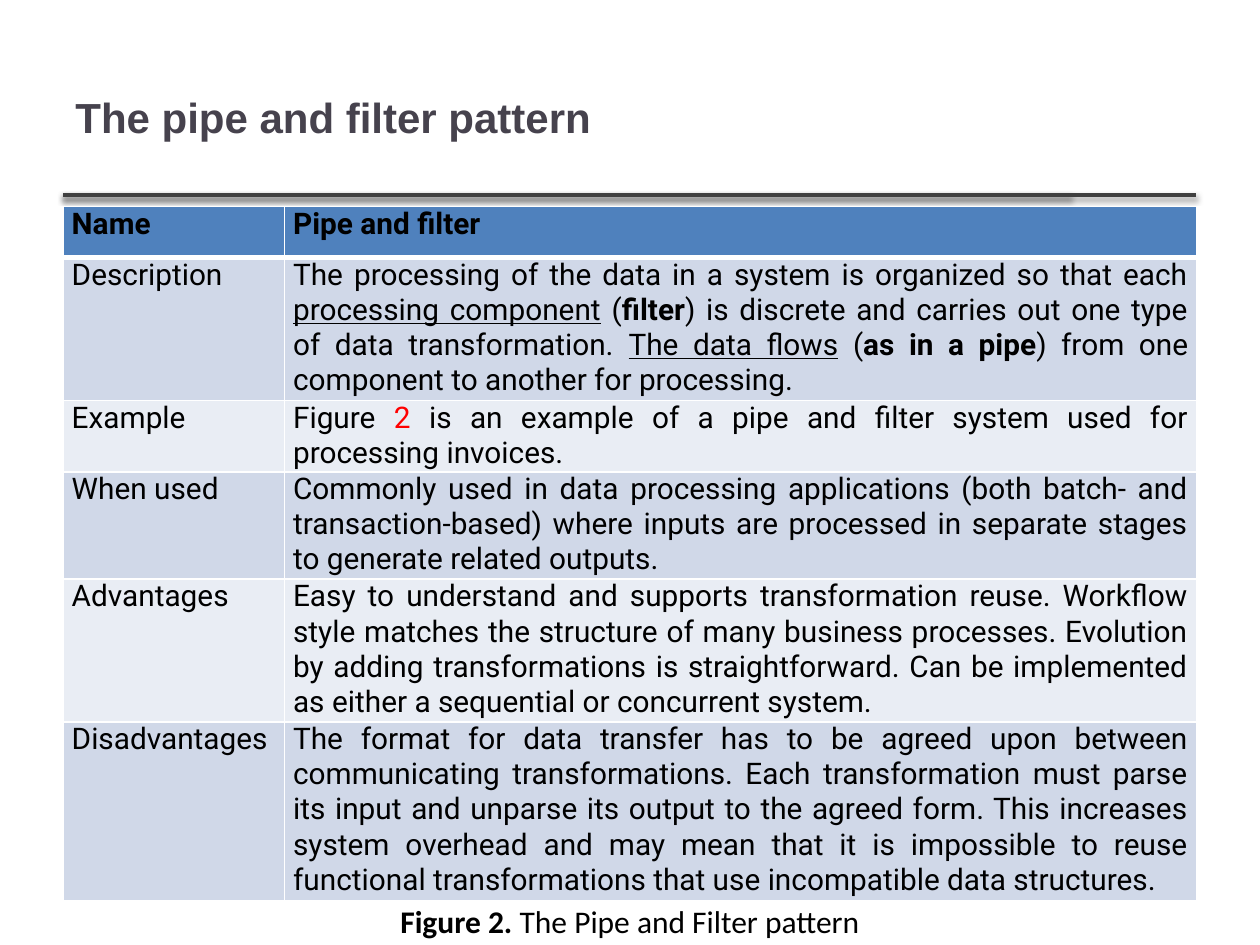
from lxml.etree import SubElement
from pptx import Presentation
from pptx.dml.color import RGBColor
from pptx.enum.shapes import MSO_CONNECTOR
from pptx.enum.text import MSO_ANCHOR, PP_ALIGN
from pptx.oxml.ns import qn
from pptx.util import Pt

LEFT, WIDTH = 36, 648
HEADER_FILL = "4F81BD"
BAND_FILLS = ["D0D8E8", "E9EDF4"]
ROWS = [
    ("Name", ["Pipe and filter"]),
    ("Description", [
        "The processing of the data in a system is organized so that each ",
        ("processing component", {"underline": True}),
        " (",
        ("filter", {"bold": True}),
        ") is discrete and carries out one type of data transformation. ",
        ("The data flows", {"underline": True}),
        " (",
        ("as in a pipe", {"bold": True}),
        ") from one component to another for processing. ",
    ]),
    ("Example", [
        "Figure ",
        ("2", {"color": "FF0000"}),
        " is an example of a pipe and filter system used for processing invoices.",
    ]),
    ("When used", [
        "Commonly used in data processing applications (both batch- and "
        "transaction-based) where inputs are processed in separate stages "
        "to generate related outputs."
    ]),
    ("Advantages", [
        "Easy to understand and supports transformation reuse. Workflow style "
        "matches the structure of many business processes. Evolution by adding "
        "transformations is straightforward. Can be implemented as either a "
        "sequential or concurrent system."
    ]),
    ("Disadvantages", [
        "The format for data transfer has to be agreed upon between "
        "communicating transformations. Each transformation must parse its "
        "input and unparse its output to the agreed form. This increases system "
        "overhead and may mean that it is impossible to reuse functional "
        "transformations that use incompatible data structures."
    ]),
]


def rgb(color):
    return RGBColor.from_string(color)


def add_run(p, text, font="Roboto", size=17, color="000000", bold=False, underline=False):
    r = p.add_run()
    r.text = text
    r.font.name = font
    r.font.size = Pt(size)
    r.font.color.rgb = rgb(color)
    r.font.bold = bold
    r.font.underline = underline


def add_text(s, top, width, height, runs, align=PP_ALIGN.LEFT, anchor=MSO_ANCHOR.TOP):
    sp = s.shapes.add_textbox(Pt(LEFT), Pt(top), Pt(width), Pt(height))
    tf = sp.text_frame
    tf.word_wrap = True
    tf.vertical_anchor = anchor
    p = tf.paragraphs[0]
    p.alignment = align
    for text, style in runs:
        add_run(p, text, **style)


def add_rule(s, right, y):
    sp = s.shapes.add_connector(MSO_CONNECTOR.STRAIGHT, Pt(LEFT), Pt(y), Pt(right), Pt(y))
    sp.line.color.rgb = rgb("404040")
    sp.line.width = Pt(2)
    effects = SubElement(sp._element.spPr, qn("a:effectLst"))
    shadow = SubElement(effects, qn("a:outerShdw"), blurRad=str(Pt(3.1)),
                        dist=str(Pt(1.6)), dir="5400000", rotWithShape="0")
    color = SubElement(shadow, qn("a:srgbClr"), val="000000")
    SubElement(color, qn("a:alpha"), val="38000")


def set_border(cell, side, width):
    ln = SubElement(cell._tc.get_or_add_tcPr(), qn(f"a:ln{side}"), w=str(Pt(width)))
    fill = SubElement(ln, qn("a:solidFill"))
    SubElement(fill, qn("a:srgbClr"), val="FFFFFF")


def fill_cell(cell, runs, row):
    header = row == 0
    for side in "LRTB":
        thick = (header and side == "B") or (row == 1 and side == "T")
        set_border(cell, side, 3 if thick else 1)
    cell.fill.solid()
    cell.fill.fore_color.rgb = rgb(HEADER_FILL if header else BAND_FILLS[(row - 1) % 2])
    cell.margin_left = cell.margin_right = Pt(5)
    cell.margin_top = cell.margin_bottom = 0
    p = cell.text_frame.paragraphs[0]
    p.alignment = PP_ALIGN.JUSTIFY
    for run in runs:
        text, style = (run, {}) if isinstance(run, str) else run
        add_run(p, text, **{"bold": header, **style})


def add_pattern_table(s, top, row_height, label_width):
    height = row_height * len(ROWS)
    table = s.shapes.add_table(len(ROWS), 2, Pt(LEFT), Pt(top), Pt(WIDTH), Pt(height)).table
    table.columns[0].width = Pt(label_width)
    table.columns[1].width = Pt(WIDTH - label_width)
    for i, (label, runs) in enumerate(ROWS):
        table.rows[i].height = Pt(row_height)
        fill_cell(table.cell(i, 0), [label], i)
        fill_cell(table.cell(i, 1), runs, i)


def main():
    prs = Presentation()
    prs.slide_width, prs.slide_height = Pt(720), Pt(540)
    s = prs.slides.add_slide(prs.slide_layouts[6])

    for right in (611.5, 683.5):
        add_rule(s, right, 111.5)
    title = {"font": "Arial", "size": 24, "color": "46424D", "bold": True}
    add_text(s, 21.5, 574.5, 90, [("The pipe and filter pattern", title)],
             anchor=MSO_ANCHOR.MIDDLE)
    add_pattern_table(s, 118, 29.2, 126.5)
    caption = {"font": "Calibri", "size": 18}
    add_text(s, 512, WIDTH, 29,
             [("Figure 2.", {**caption, "bold": True}),
              (" The Pipe and Filter pattern", caption)],
             align=PP_ALIGN.CENTER)

    prs.save("out.pptx")


if __name__ == "__main__":
    main()
